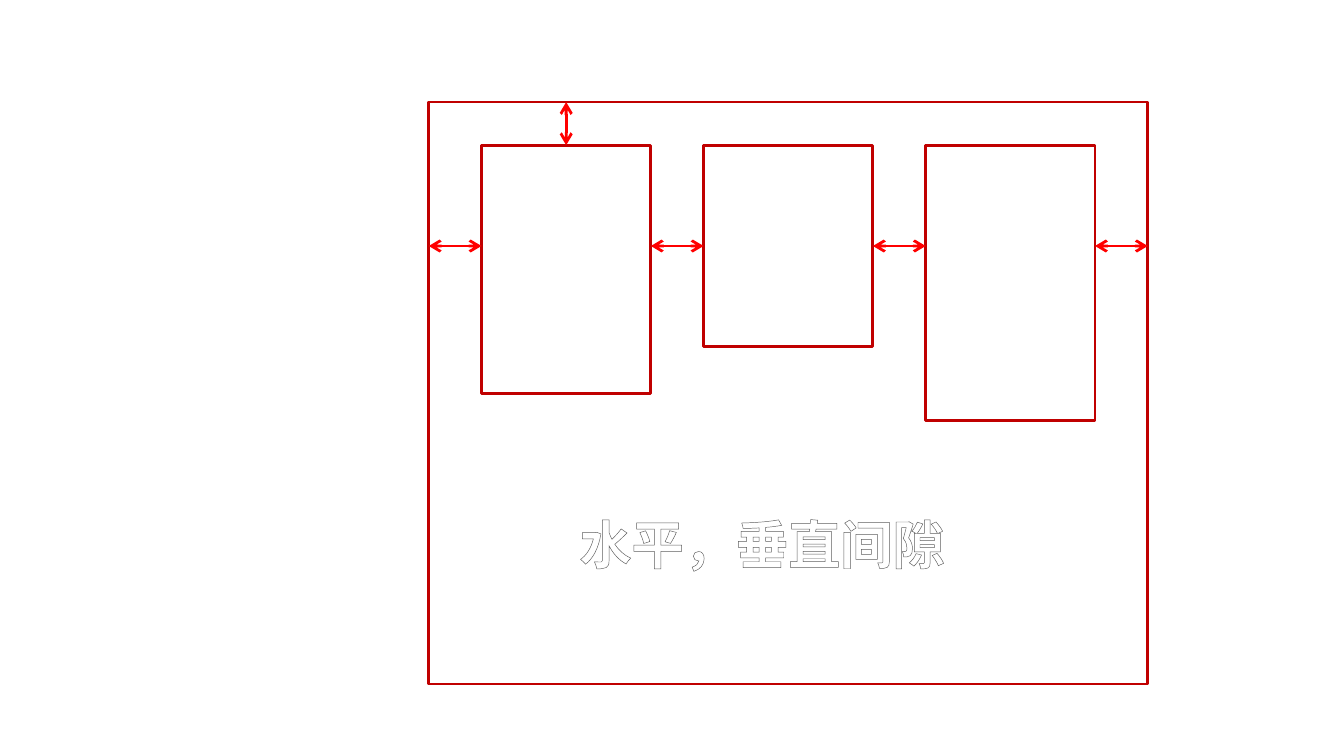
from lxml.etree import SubElement
from pptx import Presentation
from pptx.dml.color import RGBColor
from pptx.enum.shapes import MSO_CONNECTOR, MSO_SHAPE
from pptx.enum.text import MSO_AUTO_SIZE, PP_ALIGN
from pptx.oxml import parse_xml
from pptx.oxml.ns import nsdecls, qn
from pptx.util import Pt

# All lengths are in points
FRAME_LEFT, FRAME_TOP, FRAME_WIDTH, FRAME_HEIGHT = 229.7, 54.7, 385.2, 311.8
BOX_WIDTH, BOX_TOP = 90.7, 77.8
BOX_HEIGHTS = [133.2, 108, 147.6]
GAP = (FRAME_WIDTH - len(BOX_HEIGHTS) * BOX_WIDTH) / (len(BOX_HEIGHTS) + 1)
ARROW_Y = BOX_TOP + min(BOX_HEIGHTS) / 2
LINE_WIDTH = 1.5


def color(hex_value):
    return RGBColor.from_string(hex_value)


def set_line(line, hex_value):
    line.color.rgb = color(hex_value)
    line.width = Pt(LINE_WIDTH)


def add_box(slide, left, top, width, height):
    shape = slide.shapes.add_shape(
        MSO_SHAPE.RECTANGLE, Pt(left), Pt(top), Pt(width), Pt(height))
    shape.shadow.inherit = False
    shape.fill.background()
    set_line(shape.line, "C00000")


def add_double_arrow(slide, start, end):
    points = [Pt(value) for value in (*start, *end)]
    connector = slide.shapes.add_connector(MSO_CONNECTOR.STRAIGHT, *points)
    set_line(connector.line, "FF0000")
    line_element = connector.line._get_or_add_ln()
    for tag in ("a:headEnd", "a:tailEnd"):
        SubElement(line_element, qn(tag), type="arrow")
    SubElement(connector._element.spPr, qn("a:effectLst"))


def add_outlined_text(slide, text, left, top, width, height):
    text_box = slide.shapes.add_textbox(Pt(left), Pt(top), Pt(width), Pt(height))
    frame = text_box.text_frame
    frame.word_wrap = False
    frame.auto_size = MSO_AUTO_SIZE.SHAPE_TO_FIT_TEXT
    paragraph = frame.paragraphs[0]
    paragraph.alignment = PP_ALIGN.CENTER
    run = paragraph.add_run()
    run.text = text
    for name, value in {"name": "Arial", "size": Pt(28), "bold": True}.items():
        setattr(run.font, name, value)
    run.font.color.rgb = color("FFFFFF")
    # The letter outline goes before the fill in the run properties
    run._r.get_or_add_rPr().insert(0, parse_xml(
        f'<a:ln {nsdecls("a")} w="{Pt(1)}"><a:solidFill>'
        '<a:srgbClr val="5F5F5F"/></a:solidFill></a:ln>'))


def main():
    presentation = Presentation()
    presentation.slide_width, presentation.slide_height = Pt(720), Pt(405)
    slide = presentation.slides.add_slide(presentation.slide_layouts[6])

    # Container and its boxes, spread with equal gaps
    add_box(slide, FRAME_LEFT, FRAME_TOP, FRAME_WIDTH, FRAME_HEIGHT)
    step = BOX_WIDTH + GAP
    for index, height in enumerate(BOX_HEIGHTS):
        add_box(slide, FRAME_LEFT + GAP + index * step, BOX_TOP, BOX_WIDTH, height)

    # Horizontal gaps
    for index in range(len(BOX_HEIGHTS) + 1):
        left = FRAME_LEFT + index * step
        add_double_arrow(slide, (left, ARROW_Y), (left + GAP, ARROW_Y))

    # Vertical gap above the first box
    center = FRAME_LEFT + GAP + BOX_WIDTH / 2
    add_double_arrow(slide, (center, BOX_TOP), (center, FRAME_TOP))

    # Caption
    add_outlined_text(slide, "水平，垂直间隙", 301.7, 270.7, 213.1, 41)
    presentation.save("out.pptx")


if __name__ == "__main__":
    main()
